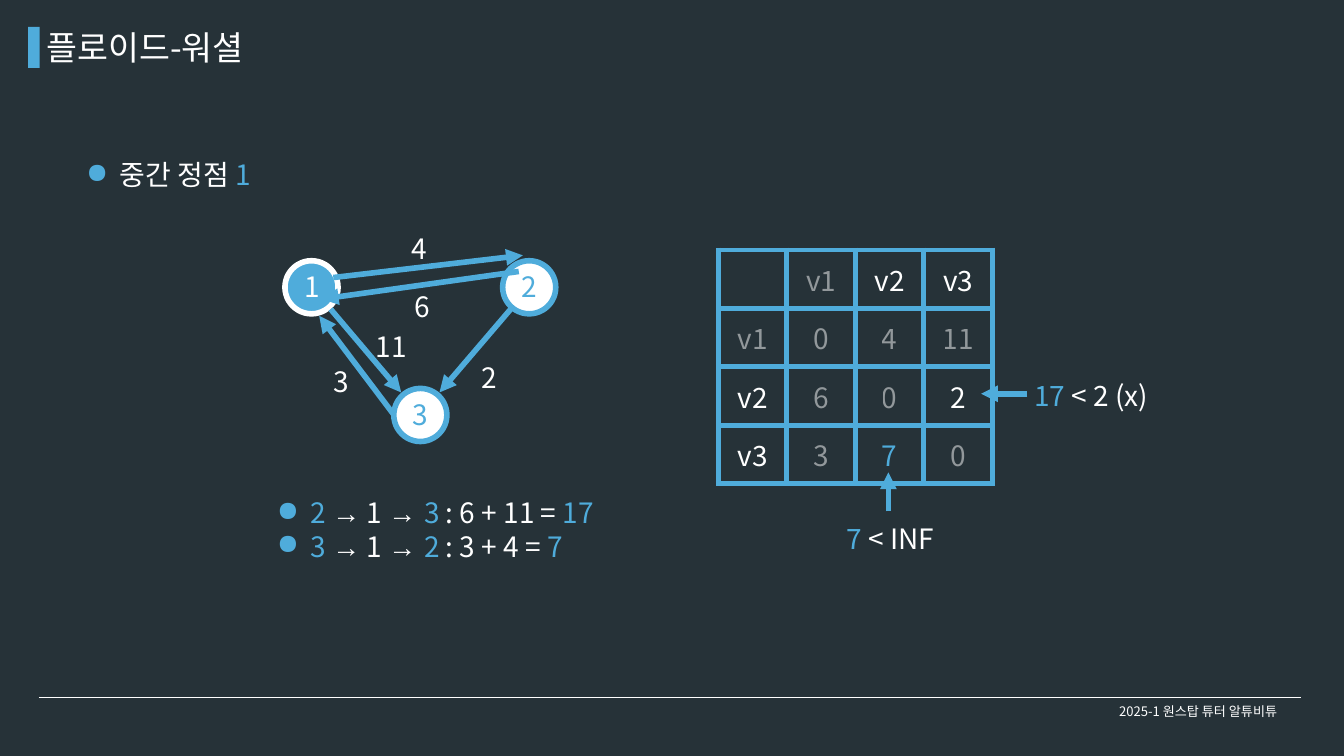
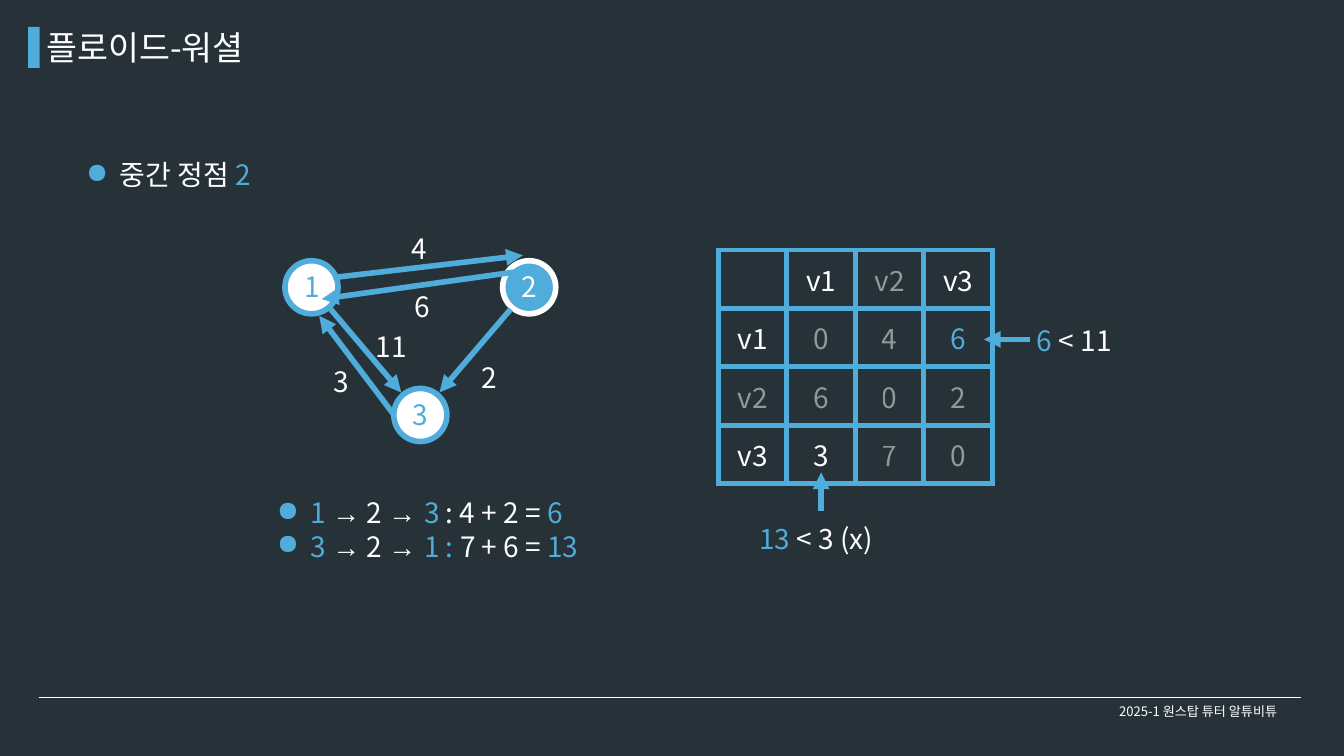
from lxml import etree
from pptx import Presentation
from pptx.dml.color import RGBColor
from pptx.enum.shapes import MSO_CONNECTOR as Link, MSO_SHAPE as Shape
from pptx.enum.text import MSO_ANCHOR as Anchor, MSO_AUTO_SIZE as Auto, PP_ALIGN as Align
from pptx.oxml.ns import qn
from pptx.util import Inches, Pt

BACK, BLUE, WHITE = "263238", "4FACDB", "FFFFFF"
FONT, ARROW_FONT = "Noto Sans CJK KR", "Arial"
SIZE, THICK, PAD = 30, 6, 0.05

TITLE = "플로이드-워셜"
FOOTER = "2025-1 원스탑 튜터 알튜비튜"

# Graph: node corners, edges as (from, to), weights as (text, left, top, width)
DIAM = 0.79
NODES = {1: (4.24, 3.88), 2: (7.48, 3.88), 3: (5.86, 5.78)}
EDGES = [
    ((4.92, 4.6), (5.97, 5.84)),
    ((7.6, 4.6), (6.54, 5.84)),
    ((5.86, 6.17), (4.75, 4.7)),
    ((4.96, 4.13), (7.78, 3.8)),
    ((7.72, 4.04), (4.79, 4.45)),
]
WEIGHTS = [
    ("4", 6.08, 3.39, 0.37),
    ("6", 6.12, 4.26, 0.37),
    ("11", 5.54, 4.85, 0.62),
    ("3", 4.92, 5.38, 0.37),
    ("2", 7.12, 5.32, 0.37),
]

# Distance table
GRID_X, GRID_Y, COL, ROW = 10.69, 3.72, 1.02, 0.87
HEADS = ["v1", "v2", "v3"]

# One step per middle vertex; routes are (start, end, sum, total),
# notes are (new, test, left, top, width, arrow from, arrow to)
STEPS = [
    dict(
        mid=1,
        dist=[[0, 4, 11], [6, 0, 2], [3, 7, 0]],
        better=(3, 2),
        routes=[("2", "3", " : 6 + 11 = ", "17"), ("3", "2", " : 3 + 4 = ", "7")],
        notes=[
            ("17 ", "< 2 (x)", 15.34, 5.59, 1.95, (15.29, 5.86), (14.6, 5.86)),
            ("7 ", "< INF", 12.55, 7.71, 1.49, (13.22, 7.61), (13.22, 7.03)),
        ],
    ),
    dict(
        mid=2,
        dist=[[0, 4, 6], [6, 0, 2], [3, 7, 0]],
        better=(1, 3),
        routes=[("1", "3", " : 4 + 2 = ", "6"), ("3", "1 : ", "7 + 6 = ", "13")],
        notes=[
            ("6 ", "< 11", 15.38, 4.77, 1.34, (15.33, 5.05), (14.64, 5.05)),
            ("13 ", "< 3 (x)", 11.25, 7.71, 1.95, (12.22, 7.61), (12.22, 7.03)),
        ],
    ),
]


def rgb(color):
    return RGBColor.from_string(color)


def sub(parent, tag, **attrs):
    return etree.SubElement(parent, qn(tag), attrs)


def style(run, color, size=SIZE, muted=False):
    font = run.font
    font.size = Pt(size)
    font.name = ARROW_FONT if "→" in run.text else FONT
    font.color.rgb = rgb(color)
    props = run._r.get_or_add_rPr()
    sub(props, "a:ea", typeface=font.name)
    if muted:
        sub(props.find(".//" + qn("a:srgbClr")), "a:alpha", val="50000")


def bullet(para):
    props = para._p.get_or_add_pPr()
    props.set("marL", str(Inches(0.5)))
    props.set("indent", str(-Inches(0.5)))
    sub(sub(props, "a:buClr"), "a:srgbClr", val=BLUE)
    sub(props, "a:buChar", char="●")


def write(shapes, box, lines, size=SIZE, wrap=True, dots=False, center=False):
    """Each line is a list of (text, colour) runs."""
    frame = shapes.add_textbox(*map(Inches, box)).text_frame
    frame.margin_left = frame.margin_right = Inches(PAD)
    frame.margin_top = frame.margin_bottom = Inches(PAD)
    frame.word_wrap = wrap
    frame.auto_size = Auto.SHAPE_TO_FIT_TEXT
    frame.vertical_anchor = Anchor.MIDDLE if center else Anchor.TOP
    for i, line in enumerate(lines):
        para = frame.add_paragraph() if i else frame.paragraphs[0]
        if center:
            para.alignment = Align.CENTER
        if dots:
            bullet(para)
        for text, color in line:
            run = para.add_run()
            run.text = text
            style(run, color, size)


def draw(shapes, kind, box, fill, line=None):
    shape = shapes.add_shape(kind, *map(Inches, box))
    shape.shadow.inherit = False
    shape.fill.solid()
    shape.fill.fore_color.rgb = rgb(fill)
    if line:
        shape.line.color.rgb = rgb(line)
        shape.line.width = Pt(THICK)
    else:
        shape.line.fill.background()


def link(shapes, start, end, color=BLUE, width=THICK, head=True):
    line = shapes.add_connector(Link.STRAIGHT, *map(Inches, start + end))
    line.line.color.rgb = rgb(color)
    line.line.width = Pt(width)
    if head:
        sub(line.line._get_or_add_ln(), "a:tailEnd", type="triangle")
    sub(line._element.spPr, "a:effectLst")


def frame_page(shapes):
    link(shapes, (0.58, 10.38), (19.36, 10.38), WHITE, 0.75, head=False)
    draw(shapes, Shape.RECTANGLE, (0.42, 0.4, 0.17, 0.61), BLUE)
    write(shapes, (15.88, 10.43, 3.9, 0.32), [[(FOOTER, WHITE)]], 14, center=True)
    write(shapes, (0.64, 0.35, 9.4, 0.65), [[(TITLE, WHITE)]], 36)


def border(cell):
    props = cell._tc.get_or_add_tcPr()
    for side in "LRTB":
        line = sub(props, "a:ln" + side, w=str(Pt(THICK)))
        sub(sub(line, "a:solidFill"), "a:srgbClr", val=BLUE)


def add_grid(shapes, mid, dist, better):
    rows = [[""] + HEADS] + [[head] + row for head, row in zip(HEADS, dist)]
    count = len(rows)
    box = (GRID_X, GRID_Y, COL * count, ROW * count)
    table = shapes.add_table(count, count, *map(Inches, box)).table
    table.first_row = table.horz_banding = False
    for i, row in enumerate(rows):
        table.rows[i].height = Inches(ROW)
        table.columns[i].width = Inches(COL)
        for j, value in enumerate(row):
            cell = table.cell(i, j)
            border(cell)
            cell.fill.background()
            cell.vertical_anchor = Anchor.MIDDLE
            cell.margin_left = cell.margin_right = Inches(PAD)
            cell.margin_top = cell.margin_bottom = Inches(PAD)
            para = cell.text_frame.paragraphs[0]
            para.text = str(value)
            para.alignment = Align.CENTER
            # Values that this step cannot change are faded
            for run in para.runs:
                style(run, BLUE if (i, j) == better else WHITE,
                      muted=i == j or mid in (i, j))


def add_graph(shapes, mid):
    for num, (x, y) in NODES.items():
        fill, ink = (BLUE, WHITE) if num == mid else (WHITE, BLUE)
        node = shapes.add_group_shape().shapes
        draw(node, Shape.OVAL, (x, y, DIAM, DIAM), fill, ink)
        write(node, (x + 0.21, y + 0.1, 0.38, 0.57), [[(str(num), ink)]], center=True)
    for start, end in EDGES:
        link(shapes, start, end)
    for text, x, y, width in WEIGHTS:
        write(shapes, (x, y, width, 0.57), [[(text, WHITE)]], wrap=False)


def route(mid, start, end, total, result):
    return [(start + " ", BLUE), ("→", WHITE), (f" {mid} ", WHITE), ("→ ", WHITE),
            (end, BLUE), (total, WHITE), (result, BLUE)]


def add_step(slide, mid, dist, better, routes, notes):
    shapes = slide.shapes
    frame_page(shapes)
    write(shapes, (1.23, 2.3, 3.15, 0.57),
          [[("중간 정점 ", WHITE), (str(mid), BLUE)]], dots=True)
    add_grid(shapes, mid, dist, better)
    add_graph(shapes, mid)
    write(shapes, (4.07, 7.33, 5.72, 1.07), [route(mid, *r) for r in routes], dots=True)
    for new, test, x, y, width, start, end in notes:
        link(shapes, start, end)
        write(shapes, (x, y, width, 0.57), [[(new, BLUE), (test, WHITE)]], wrap=False)


def main():
    prs = Presentation()
    prs.slide_width, prs.slide_height = Inches(20), Inches(11.25)
    back = prs.slide_master.background.fill
    back.solid()
    back.fore_color.rgb = rgb(BACK)
    for step in STEPS:
        add_step(prs.slides.add_slide(prs.slide_layouts[6]), **step)
    prs.save("out.pptx")


if __name__ == "__main__":
    main()
